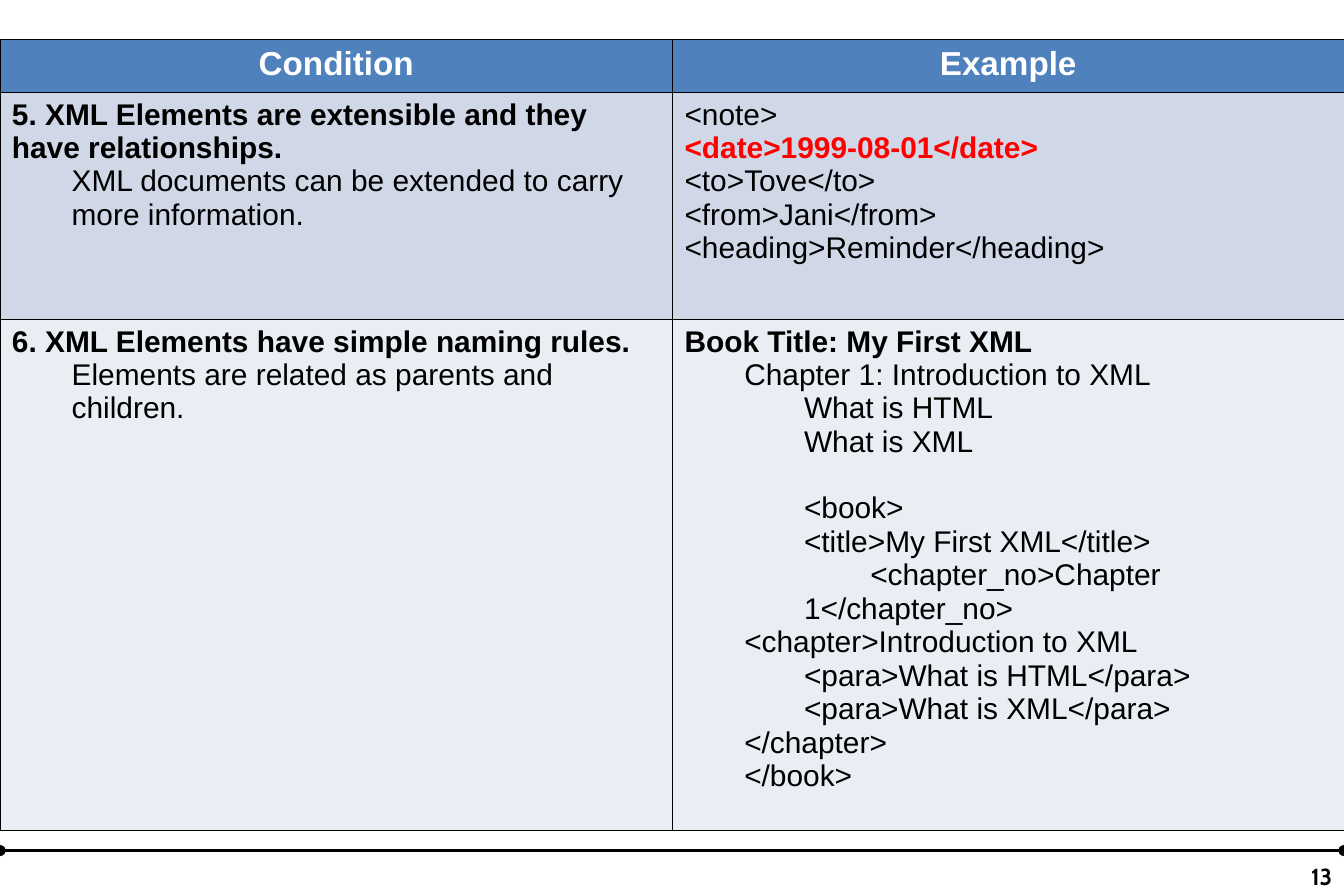
from dataclasses import dataclass

from lxml import etree
from pptx import Presentation
from pptx.dml.color import RGBColor
from pptx.enum.shapes import MSO_CONNECTOR
from pptx.enum.text import MSO_ANCHOR, PP_ALIGN
from pptx.oxml.ns import qn
from pptx.slide import Slide
from pptx.table import _Cell
from pptx.text.text import _Paragraph
from pptx.util import Inches, Pt

STRAIGHT = MSO_CONNECTOR.STRAIGHT
BOTTOM = MSO_ANCHOR.BOTTOM
LEFT, CENTER, RIGHT = PP_ALIGN.LEFT, PP_ALIGN.CENTER, PP_ALIGN.RIGHT

BLACK = RGBColor(0x00, 0x00, 0x00)
WHITE = RGBColor(0xFF, 0xFF, 0xFF)
RED = RGBColor(0xFF, 0x00, 0x00)
HEADER_BLUE = RGBColor(0x4F, 0x81, 0xBD)
BAND_DARK = RGBColor(0xD0, 0xD8, 0xE8)
BAND_LIGHT = RGBColor(0xE9, 0xED, 0xF4)

SLIDE_WIDTH, SLIDE_HEIGHT = 11.25, 7.5
TABLE_TOP = 0.33
COLUMN_WIDTHS = (5.63, 5.62)
INDENT_STEP = 0.5


@dataclass(frozen=True)
class Line:
    text: str
    level: int = 0
    bold: bool = False
    color: RGBColor = BLACK
    size: float = 18
    align: PP_ALIGN = LEFT
    font: str = "Arial"
    space_before: float = 0


@dataclass(frozen=True)
class Row:
    height: float
    fill: RGBColor
    cells: tuple[list[Line], list[Line]]


def header(text: str) -> list[Line]:
    return [Line(text, bold=True, color=WHITE, size=20, align=CENTER)]


ROWS = [
    Row(0.44, HEADER_BLUE, (header("Condition"), header("Example"))),
    Row(1.9, BAND_DARK, (
        [
            Line("5. XML Elements are extensible and they have relationships.", bold=True),
            Line("XML documents can be extended to carry more information.", 1),
        ],
        [
            Line("<note>"),
            Line("<date>1999-08-01</date>", bold=True, color=RED),
            Line("<to>Tove</to>"),
            Line("<from>Jani</from>"),
            Line("<heading>Reminder</heading>"),
        ],
    )),
    Row(4, BAND_LIGHT, (
        [
            Line("6. XML Elements have simple naming rules.", bold=True),
            Line("Elements are related as parents and children.", 1),
        ],
        [
            Line("Book Title: My First XML", bold=True),
            Line("Chapter 1: Introduction to XML", 1),
            Line("What is HTML", 2),
            Line("What is XML", 2),
            Line("<book>", 2, space_before=20),
            Line("<title>My First XML</title>", 2),
            Line("        <chapter_no>Chapter 1</chapter_no>", 2),
            Line("<chapter>Introduction to XML", 1),
            Line("<para>What is HTML</para>", 2),
            Line("<para>What is XML</para>", 2),
            Line("</chapter>", 1),
            Line("</book>", 1),
        ],
    )),
]


def write_line(paragraph: _Paragraph, line: Line) -> None:
    paragraph.level = line.level
    paragraph.alignment = line.align
    properties = paragraph._p.get_or_add_pPr()
    properties.set("marL", str(Inches(INDENT_STEP * line.level)))
    properties.set("indent", "0")
    if line.space_before:
        paragraph.space_before = Pt(line.space_before)
    run = paragraph.add_run()
    run.text = line.text
    run.font.name = line.font
    run.font.size = Pt(line.size)
    run.font.bold = line.bold
    run.font.color.rgb = line.color


def add_borders(cell: _Cell) -> None:
    properties = cell._tc.get_or_add_tcPr()
    for side in ("a:lnL", "a:lnR", "a:lnT", "a:lnB"):
        border = etree.SubElement(properties, qn(side), w=str(Pt(0.45)))
        fill = etree.SubElement(border, qn("a:solidFill"))
        etree.SubElement(fill, qn("a:srgbClr"), val=str(BLACK))


def fill_cell(cell: _Cell, lines: list[Line], color: RGBColor) -> None:
    add_borders(cell)
    cell.fill.solid()
    cell.fill.fore_color.rgb = color
    for index, line in enumerate(lines):
        frame = cell.text_frame
        write_line(frame.add_paragraph() if index else frame.paragraphs[0], line)


def add_conditions_table(slide: Slide) -> None:
    table = slide.shapes.add_table(
        len(ROWS), len(COLUMN_WIDTHS), Inches(0), Inches(TABLE_TOP),
        Inches(SLIDE_WIDTH), Inches(sum(row.height for row in ROWS)),
    ).table
    for column, width in zip(table.columns, COLUMN_WIDTHS):
        column.width = Inches(width)
    for table_row, row in zip(table.rows, ROWS):
        table_row.height = Inches(row.height)
        for cell, lines in zip(table_row.cells, row.cells):
            fill_cell(cell, lines, row.fill)


def add_footer(slide: Slide) -> None:
    # Rule with round ends
    rule = slide.shapes.add_connector(
        STRAIGHT, Inches(0), Inches(7.12), Inches(SLIDE_WIDTH), Inches(7.12))
    rule.line.color.rgb = BLACK
    rule.line.width = Pt(2.25)
    outline = rule.line._get_or_add_ln()
    for end in ("a:headEnd", "a:tailEnd"):
        etree.SubElement(outline, qn(end), type="oval")
    etree.SubElement(rule._element.spPr, qn("a:effectLst"))

    # Slide number
    number = slide.shapes.add_textbox(Inches(9.17), Inches(7), Inches(2.08), Inches(0.5))
    number.text_frame.word_wrap = True
    number.text_frame.vertical_anchor = BOTTOM
    write_line(number.text_frame.paragraphs[0],
               Line("13", bold=True, size=14, align=RIGHT, font="Cabin"))


def main() -> None:
    presentation = Presentation()
    presentation.slide_width = Inches(SLIDE_WIDTH)
    presentation.slide_height = Inches(SLIDE_HEIGHT)
    slide = presentation.slides.add_slide(presentation.slide_layouts[6])
    add_footer(slide)
    add_conditions_table(slide)
    presentation.save("out.pptx")


if __name__ == "__main__":
    main()
